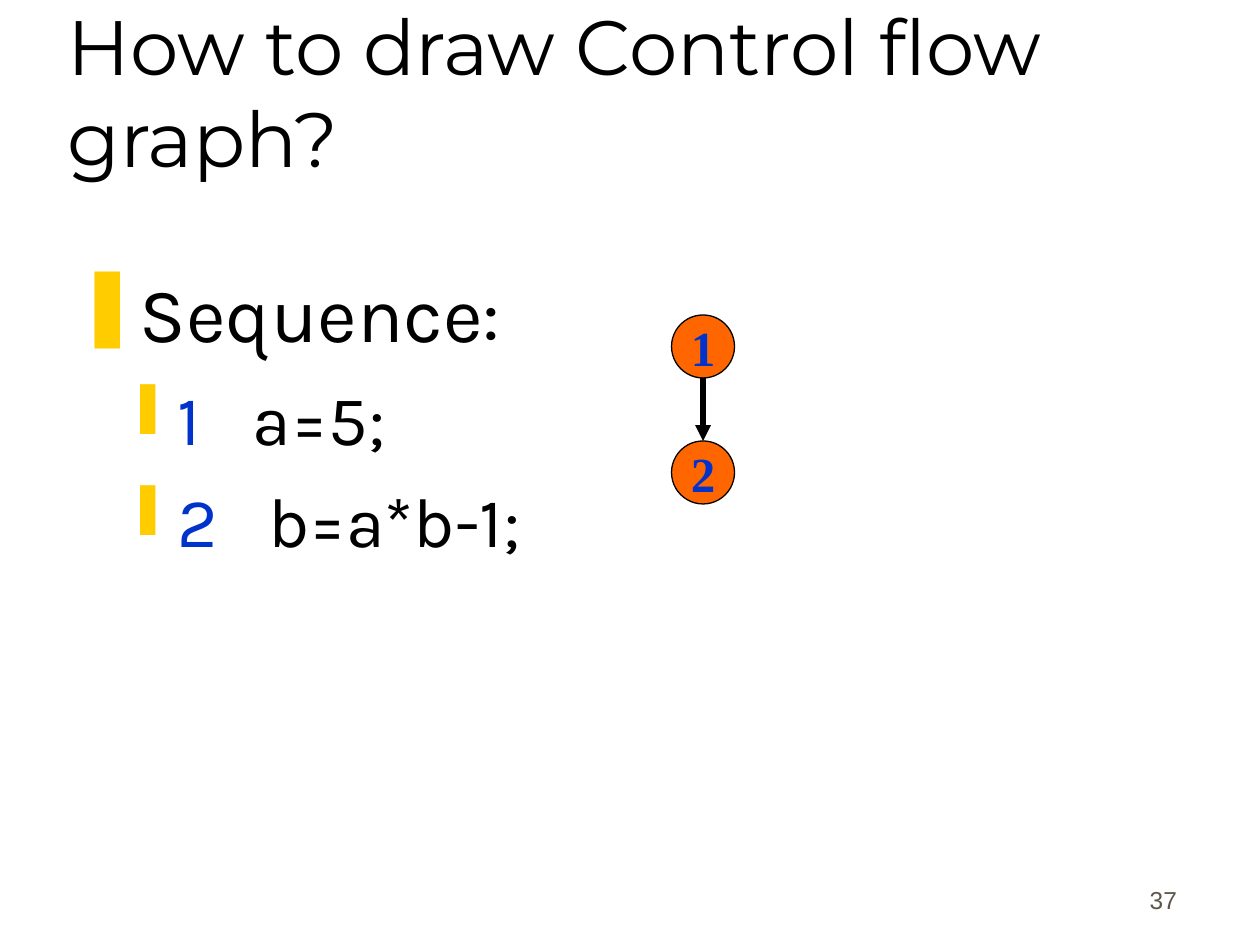
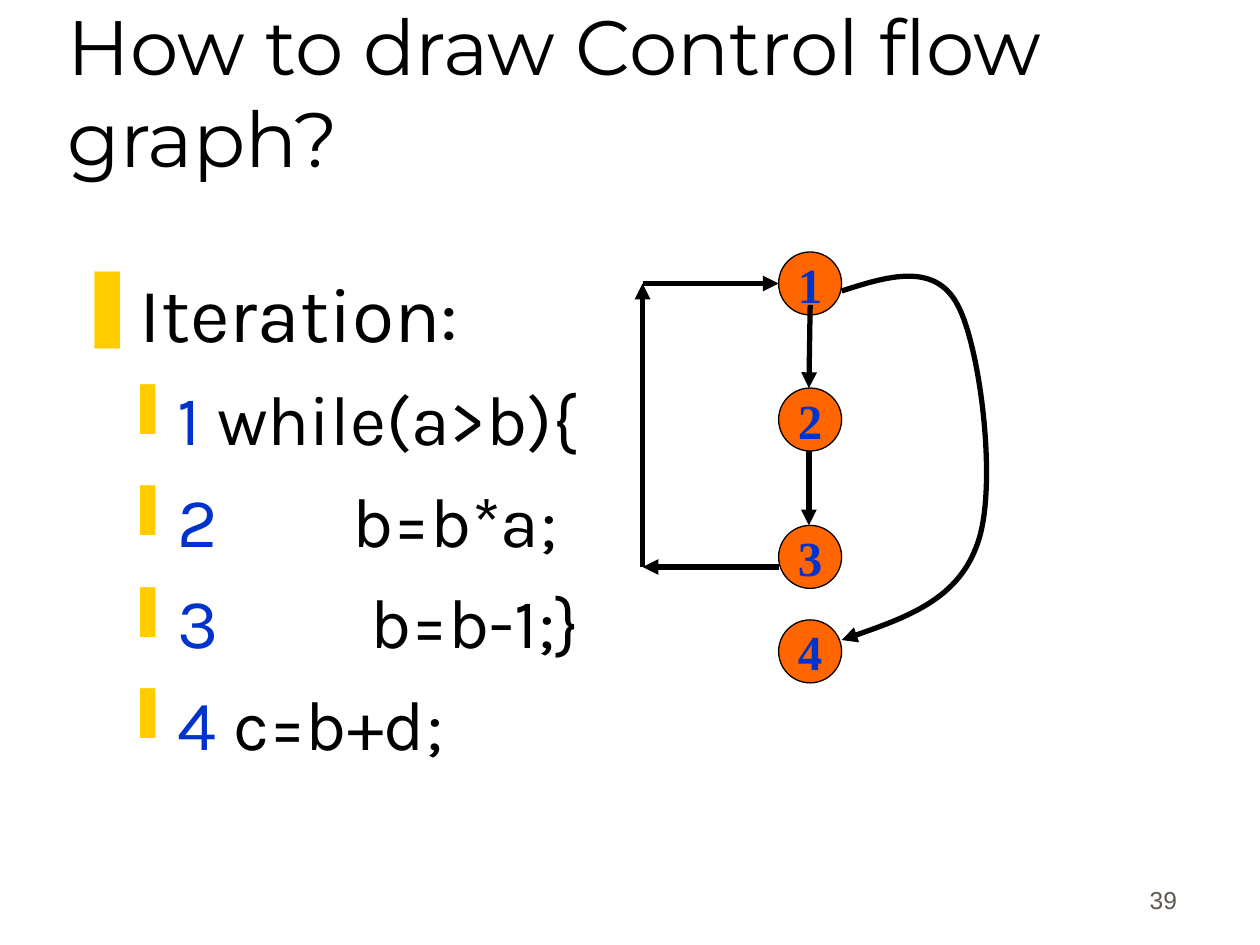
from dataclasses import dataclass

from lxml.etree import SubElement
from pptx import Presentation
from pptx.dml.color import RGBColor
from pptx.enum.shapes import MSO_CONNECTOR, MSO_SHAPE
from pptx.enum.text import MSO_ANCHOR, PP_ALIGN
from pptx.oxml.ns import qn
from pptx.util import Inches, Pt

# Content: code rows are (line number, statement, tab stop in inches or None)
TITLE = "How to draw Control flow graph?"
SLIDES = [
    {
        "number": "37",
        "heading": "Sequence:",
        "code": [("1", "a=5;", 1.41), ("2", "b=a*b-1;", 1.53)],
        "node_left": 5.33,
        "node_tops": [2.5, 3.5],
        "arrows": [((5.58, 3), (5.58, 3.5))],
        "curve": [],
    },
    {
        "number": "39",
        "heading": "Iteration:",
        "code": [
            ("1", "while(a>b){", None),
            ("2", "b=b*a;", 2.2),
            ("3", "b=b-1;}", 2.34),
            ("4", "c=b+d;", None),
        ],
        "node_left": 6.18,
        "node_tops": [2, 3.08, 4.17, 4.92],
        "arrows": [
            ((6.43, 2.42), (6.42, 3.08)),
            ((6.42, 3.58), (6.42, 4.17)),
            ((6.18, 4.5), (5.1, 4.5)),
            ((5.1, 4.5), (5.1, 2.25)),
            ((5.1, 2.25), (6.18, 2.25)),
        ],
        # Start point, then three Bézier points for each segment
        "curve": [
            (6.68, 2.31),
            (7.05, 2.19), (7.42, 2.08), (7.6, 2.42),
            (7.78, 2.75), (7.92, 3.86), (7.76, 4.31),
            (7.61, 4.75), (7.15, 4.92), (6.68, 5.08),
        ],
    },
]


@dataclass(frozen=True)
class Theme:
    black: str = "000000"
    blue: str = "0033CC"
    orange: str = "FF6600"
    yellow: str = "FFCC00"
    grey: str = "5E574E"
    title: tuple = ("Montserrat", 44)
    heading: tuple = ("Karla", 44)
    code: tuple = ("Karla", 40)
    node: tuple = ("Times New Roman", 28)
    footer: tuple = ("Arial", 14)
    node_line: float = 0.75
    arrow_line: float = 3


THEME = Theme()
SLIDE_SIZE = (10, 7.5)
TITLE_BOX = (0.44, 0.25, 8.5, 1.25)
BODY_BOX = (0.5, 2.06, 8.94, 4.56)
FOOTER_BOX = (7.36, 6.81, 2.08, 0.5)
NODE_SIZE = 0.5
HEADING_BULLET = {"character": "❚", "margin": 0.38, "hanging": 0.38}
CODE_BULLET = {"character": "❙", "margin": 0.81, "hanging": 0.31}


def set_format(target, values):
    for name, value in values.items():
        setattr(target, name, value)


def add_run(paragraph, text, font, color, bold=False):
    name, size = font
    run = paragraph.add_run()
    run.text = text
    set_format(run.font, {"name": name, "size": Pt(size), "bold": bold})
    run.font.color.rgb = RGBColor.from_string(color)


def add_text_box(slide, box, anchor):
    frame = slide.shapes.add_textbox(*map(Inches, box)).text_frame
    set_format(frame, {"word_wrap": True, "vertical_anchor": anchor})
    return frame


def set_bullet(paragraph, character, margin, hanging, tab=None):
    properties = paragraph._p.get_or_add_pPr()
    properties.set("marL", str(Inches(margin)))
    properties.set("indent", str(-Inches(hanging)))
    color = SubElement(properties, qn("a:buClr"))
    SubElement(color, qn("a:srgbClr"), val=THEME.yellow)
    SubElement(properties, qn("a:buChar"), char=character)
    if tab:
        tabs = SubElement(properties, qn("a:tabLst"))
        SubElement(tabs, qn("a:tab"), pos=str(Inches(tab)), algn="l")


def style_arrow(shape):
    shape.line.color.rgb = RGBColor.from_string(THEME.black)
    shape.line.width = Pt(THEME.arrow_line)
    SubElement(shape.line._get_or_add_ln(), qn("a:tailEnd"), type="triangle")
    SubElement(shape._element.spPr, qn("a:effectLst"))


def add_frame(slide, number):
    """Title and slide number, shared by all slides."""
    footer = add_text_box(slide, FOOTER_BOX, MSO_ANCHOR.BOTTOM).paragraphs[0]
    footer.alignment = PP_ALIGN.RIGHT
    add_run(footer, number, THEME.footer, THEME.grey)
    title = add_text_box(slide, TITLE_BOX, MSO_ANCHOR.BOTTOM).paragraphs[0]
    add_run(title, TITLE, THEME.title, THEME.black)


def add_code(slide, heading, rows):
    frame = add_text_box(slide, BODY_BOX, MSO_ANCHOR.TOP)
    paragraph = frame.paragraphs[0]
    paragraph.space_before = Pt(11)
    set_bullet(paragraph, **HEADING_BULLET)
    add_run(paragraph, heading, THEME.heading, THEME.black)
    for number, statement, tab in rows:
        paragraph = frame.add_paragraph()
        set_format(paragraph, {"level": 1, "space_before": Pt(10)})
        set_bullet(paragraph, **CODE_BULLET, tab=tab)
        add_run(paragraph, number, THEME.code, THEME.blue)
        gap = "\t" if tab else " "
        add_run(paragraph, gap + statement, THEME.code, THEME.black)


def add_node(slide, label, left, top):
    box = map(Inches, (left, top, NODE_SIZE, NODE_SIZE))
    node = slide.shapes.add_shape(MSO_SHAPE.OVAL, *box)
    node.shadow.inherit = False
    node.fill.solid()
    node.fill.fore_color.rgb = RGBColor.from_string(THEME.orange)
    node.line.color.rgb = RGBColor.from_string(THEME.black)
    node.line.width = Pt(THEME.node_line)
    set_format(node.text_frame, {"word_wrap": False, "vertical_anchor": MSO_ANCHOR.MIDDLE})
    paragraph = node.text_frame.paragraphs[0]
    paragraph.alignment = PP_ALIGN.CENTER
    add_run(paragraph, label, THEME.node, THEME.blue, bold=True)


def add_arrow(slide, start, end):
    points = map(Inches, (*start, *end))
    style_arrow(slide.shapes.add_connector(MSO_CONNECTOR.STRAIGHT, *points))


def add_curve(slide, points):
    start, *rest = [tuple(map(Inches, point)) for point in points]
    builder = slide.shapes.build_freeform(*start)
    builder.add_line_segments(rest, close=False)
    curve = builder.convert_to_shape()
    curve.fill.background()
    # Turn each three line points into one Bézier segment
    outline = next(curve._element.iter(qn("a:path")))
    lines = outline.findall(qn("a:lnTo"))
    for index in range(0, len(lines), 3):
        segment = SubElement(outline, qn("a:cubicBezTo"))
        for line in lines[index:index + 3]:
            segment.append(line[0])
            outline.remove(line)
    style_arrow(curve)


def main():
    presentation = Presentation()
    width, height = map(Inches, SLIDE_SIZE)
    set_format(presentation, {"slide_width": width, "slide_height": height})
    for content in SLIDES:
        slide = presentation.slides.add_slide(presentation.slide_layouts[6])
        add_frame(slide, content["number"])
        add_code(slide, content["heading"], content["code"])
        # Flow graph
        for label, top in enumerate(content["node_tops"], start=1):
            add_node(slide, str(label), content["node_left"], top)
        for start, end in content["arrows"]:
            add_arrow(slide, start, end)
        if content["curve"]:
            add_curve(slide, content["curve"])
    presentation.save("out.pptx")


if __name__ == "__main__":
    main()
